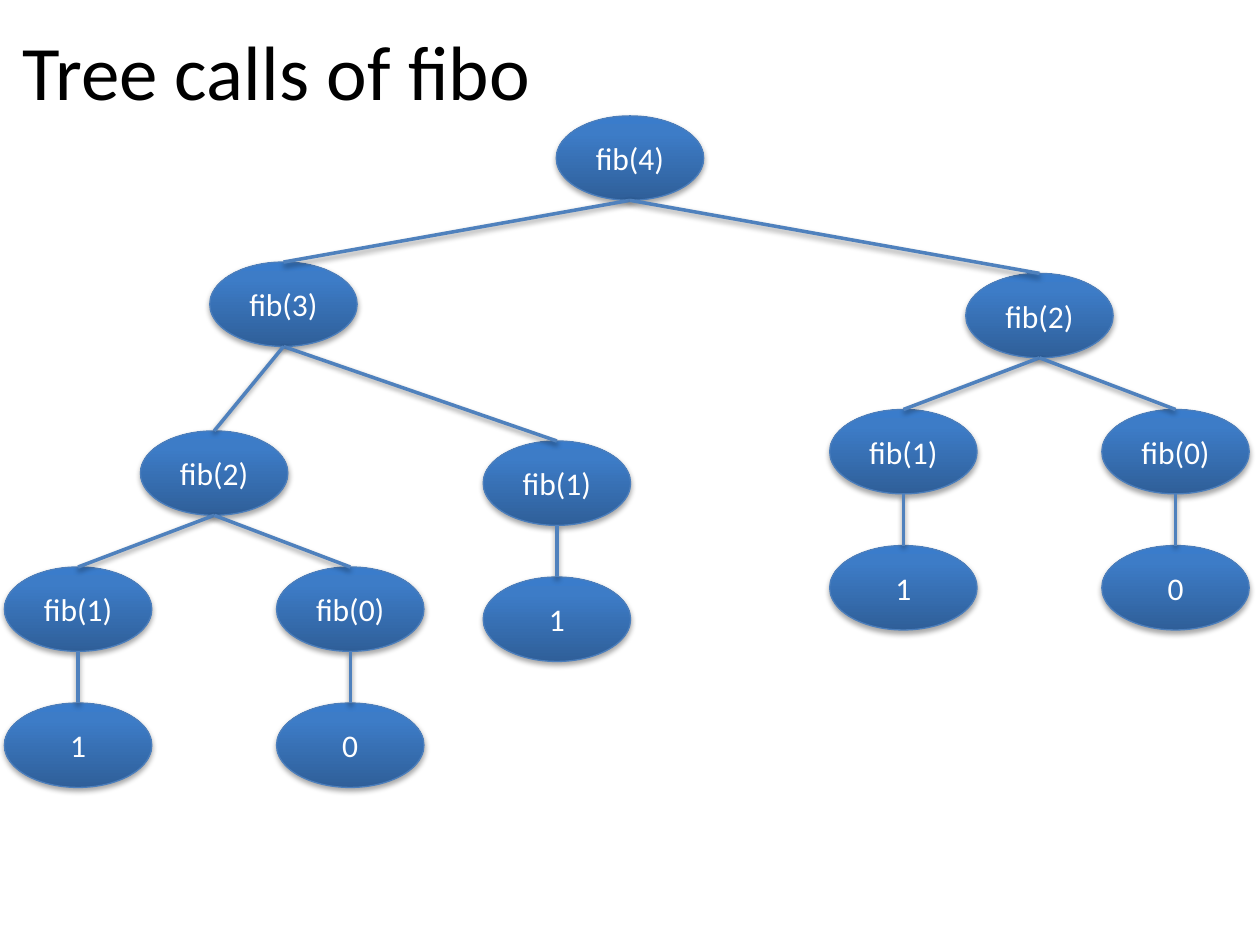
"""Build a slide with the tree of recursive Fibonacci calls."""
from pptx import Presentation
from pptx.dml.color import RGBColor
from pptx.enum.shapes import MSO_CONNECTOR as Link, MSO_SHAPE as Form
from pptx.enum.text import MSO_ANCHOR as Anchor, PP_ALIGN as Align
from pptx.oxml import parse_xml
from pptx.util import Inches, Pt

NS = 'xmlns:a="http://schemas.openxmlformats.org/drawingml/2006/main"'
FILL = f'''<a:gradFill {NS} rotWithShape="1"><a:gsLst>
<a:gs pos="0"><a:srgbClr val="2F5F99"/></a:gs>
<a:gs pos="80000"><a:srgbClr val="3D7CC7"/></a:gs>
<a:gs pos="100000"><a:srgbClr val="3A7CCB"/></a:gs>
</a:gsLst><a:lin ang="16200000" scaled="0"/></a:gradFill>'''
SHADE = f'''<a:effectLst {NS}><a:outerShdw blurRad="40000" dist="%d" dir="5400000"
rotWithShape="0"><a:srgbClr val="000000"><a:alpha val="%d"/></a:srgbClr>
</a:outerShdw></a:effectLst>'''


def write(shape, text, size=18, color="FFFFFF", align=Align.CENTER):
    frame = shape.text_frame
    frame.word_wrap = True
    frame.vertical_anchor = Anchor.MIDDLE
    para = frame.paragraphs[0]
    para.alignment = align
    run = para.add_run()
    run.text = text
    run.font.size = Pt(size)
    run.font.name = "Calibri"
    run.font.color.rgb = RGBColor.from_string(color)


def finish(item, color, width, dist, alpha):
    item.line.color.rgb = RGBColor.from_string(color)
    item.line.width = Pt(width)
    item._element.spPr.append(parse_xml(SHADE % (dist, alpha)))


deck = Presentation()
deck.slide_width, deck.slide_height = Inches(10), Inches(7.5)
slide = deck.slides.add_slide(deck.slide_layouts[6])
shapes = slide.shapes

title = shapes.add_textbox(Inches(0.08), Inches(0.08), Inches(9.75), Inches(0.95))
write(title, "Tree calls of fibo", size=44, color="000000", align=Align.LEFT)

WIDE, HIGH, STEP = 1.17, 0.67, 1.08
nodes = {
    "root": ("fib(4)", 5, 0.92, None),
    "left": ("fib(3)", 2.25, 2.08, "root"),
    "mid": ("fib(1)", 4.42, 3.5, "left"),
    "low": ("fib(2)", 1.7, 3.42, "left"),
    "right": ("fib(2)", 8.25, 2.17, "root"),
}
for top in ("low", "right"):
    _, mid, y, _ = nodes[top]
    for side, n in ((-1, 1), (1, 0)):
        nodes[f"{top}{n}"] = (f"fib({n})", mid + side * STEP, y + STEP, top)
for base, value in (("mid", "1"), ("low1", "1"), ("low0", "0"),
                    ("right1", "1"), ("right0", "0")):
    _, mid, y, _ = nodes[base]
    nodes[f"{base} end"] = (value, mid, y + STEP, base)

for text, mid, y, _ in nodes.values():
    oval = shapes.add_shape(Form.OVAL, Inches(mid - WIDE / 2), Inches(y),
                            Inches(WIDE), Inches(HIGH))
    oval._element.spPr.insert(2, parse_xml(FILL))
    finish(oval, "4B7EBC", 0.75, 23000, 35000)
    write(oval, text)

for _, mid, y, base in nodes.values():
    if base:
        _, from_x, from_y, _ = nodes[base]
        line = shapes.add_connector(Link.STRAIGHT, Inches(from_x), Inches(from_y + HIGH),
                                    Inches(mid), Inches(y))
        finish(line, "4F81BD", 2, 20000, 38000)

deck.save("out.pptx")
